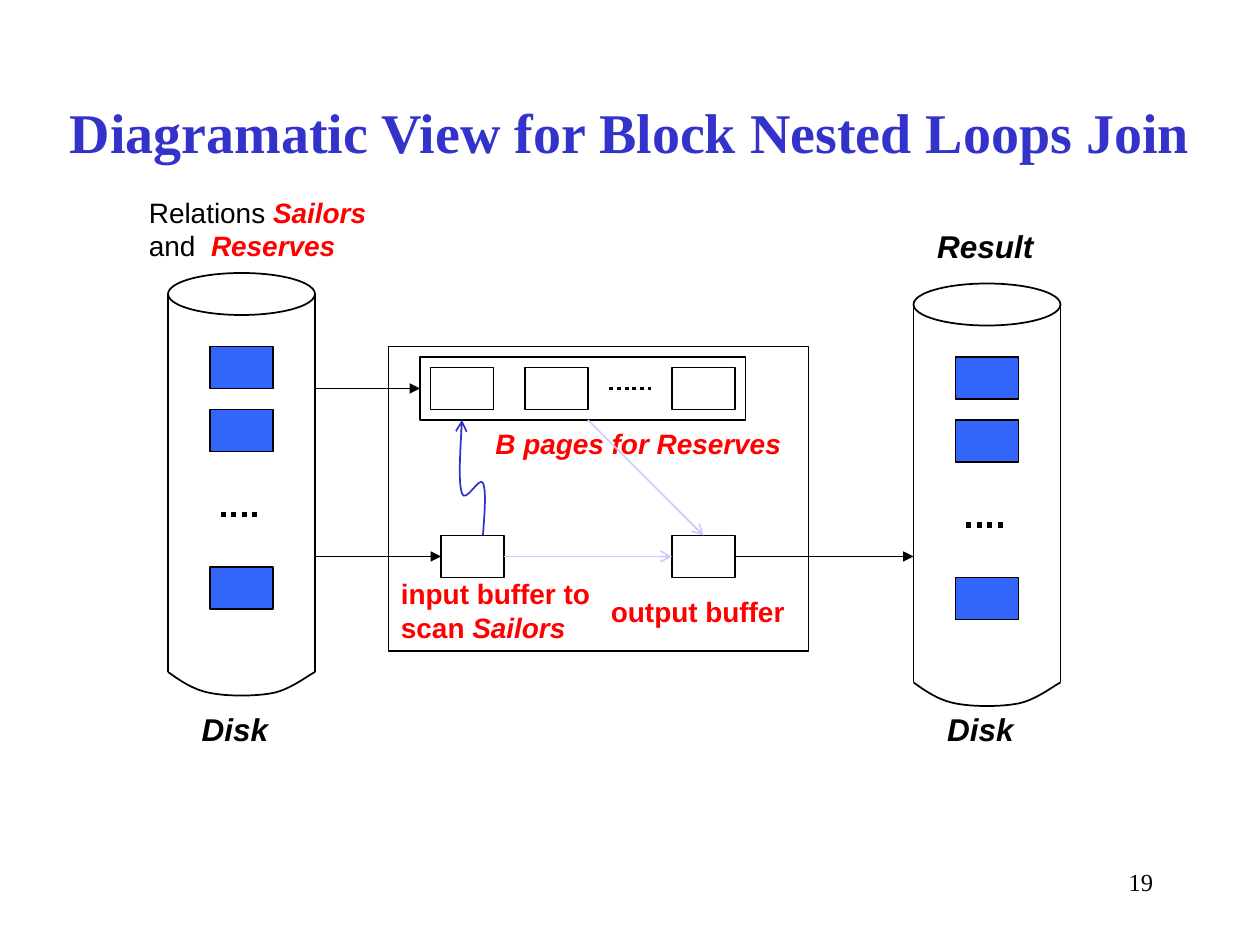
from pptx import Presentation
from pptx import util as u
from pptx.dml.color import RGBColor
from pptx.enum import dml, shapes, text
from pptx.oxml import parse_xml
from pptx.oxml.ns import nsdecls, qn

Pt = u.Pt
BLACK, RED, NAVY, BLUE, LILAC = "000000", "FF0000", "3333CC", "3365FB", "CCCCFF"
LEFT, CENTER, RIGHT = text.PP_ALIGN.LEFT, text.PP_ALIGN.CENTER, text.PP_ALIGN.RIGHT
PAGE = (36, 24)


def paint(target, color):
    target.rgb = RGBColor.from_string(color)


def outline(line, color=BLACK, width=1, dotted=False, head=None):
    paint(line.color, color)
    line.width = Pt(width)
    if dotted:
        line.dash_style = dml.MSO_LINE.ROUND_DOT
    if head:
        ln = line._get_or_add_ln()
        ln.append(parse_xml(f'<a:tailEnd {nsdecls("a")} type="{head}"/>'))


def add_line(parent, x1, y1, x2, y2, **style):
    c = parent.add_connector(
        shapes.MSO_CONNECTOR.STRAIGHT, Pt(x1), Pt(y1), Pt(x2), Pt(y2))
    outline(c.line, **style)
    c._element.spPr.append(parse_xml(f'<a:effectLst {nsdecls("a")}/>'))


def add_box(parent, x, y, w, h, fill=None, kind=shapes.MSO_SHAPE.RECTANGLE):
    sp = parent.add_shape(kind, Pt(x), Pt(y), Pt(w), Pt(h))
    sp.shadow.inherit = False
    if fill:
        sp.fill.solid()
        paint(sp.fill.fore_color, fill)
    else:
        sp.fill.background()
    outline(sp.line)


def add_curve(parent, points, **style):
    pts = [(Pt(x), Pt(y)) for x, y in points]
    builder = parent.build_freeform(*pts[0])
    builder.add_line_segments(pts[1:], close=False)
    sp = builder.convert_to_shape()
    sp.shadow.inherit = False
    sp.fill.background()
    outline(sp.line, **style)
    path = next(sp._element.iter(qn("a:path")))
    steps = path.findall(qn("a:lnTo"))
    for i in range(0, len(steps), 3):
        bezier = parse_xml(f'<a:cubicBezTo {nsdecls("a")}/>')
        path.append(bezier)
        for step in steps[i:i + 3]:
            bezier.append(step[0])
            path.remove(step)


def set_font(font, size, color, bold, italic, name):
    font.name = name
    font.size = Pt(size)
    font.bold = bold
    font.italic = italic
    paint(font.color, color)


def add_text(parent, x, y, w, h, paragraphs, size=16, color=RED, bold=True,
             italic=False, align=LEFT, wrap=False, name="Arial"):
    tf = parent.add_textbox(Pt(x), Pt(y), Pt(w), Pt(h)).text_frame
    tf.word_wrap = wrap
    for i, runs in enumerate(paragraphs):
        p = tf.add_paragraph() if i else tf.paragraphs[0]
        p.alignment = align
        set_font(p.font, size, color, bold, italic, name)
        for content, accent in runs:
            r = p.add_run()
            r.text = content
            if accent:
                r.font.bold = r.font.italic = True
                paint(r.font.color, RED)


def add_title(slide, content):
    title = slide.shapes.title
    title.left, title.top, title.width, title.height = Pt(18), Pt(54), Pt(684), Pt(42)
    tf = title.text_frame
    tf.text = content
    tf.auto_size = text.MSO_AUTO_SIZE.NONE
    tf.vertical_anchor = text.MSO_ANCHOR.MIDDLE
    p = tf.paragraphs[0]
    p.alignment = CENTER
    set_font(p.font, 32, NAVY, True, False, "Times New Roman")


def add_disk(parent, x, y):
    disk = parent.add_group_shape().shapes
    for side in (x, x + 84):
        add_line(disk, side, y + 12, side, y + 228)
    add_box(disk, x, y, 84, 24, kind=shapes.MSO_SHAPE.OVAL)
    rim = [(0, 0), (7, 5), (14, 10), (24, 12), (34, 14),
           (50, 14), (60, 12), (70, 10), (80, 2), (84, 0)]
    add_curve(disk, [(x + dx, y + 228 + dy) for dx, dy in rim])
    for dy in (42, 78, 168):
        add_box(disk, x + 24, y + dy, *PAGE, fill=BLUE)
    add_line(disk, x + 30, y + 138, x + 54, y + 138, width=3, dotted=True)


def add_caption(parent, x, y, w, content):
    add_text(parent, x, y, w, 29, [[(content, False)]], size=18, color=BLACK,
             italic=True, align=CENTER)


def add_buffers(parent):
    for x, y in ((246, 210), (300, 210), (384, 210), (252, 306), (384, 306)):
        add_box(parent, x, y, *PAGE)
    add_box(parent, 222, 198, 240, 174)
    add_box(parent, 240, 204, 186, 36)
    add_line(parent, 348, 222, 372, 222, width=2.25, dotted=True)


def add_flows(parent):
    for x1, y, x2 in ((180, 222, 240), (180, 318, 252), (420, 318, 522)):
        add_line(parent, x1, y, x2, y, head="triangle")
    add_curve(parent, [(276, 306), (277, 293), (278, 280), (276, 276), (274, 272),
                       (266, 288), (264, 282), (262, 276), (263, 258), (264, 240)],
              color=NAVY, head="arrow")


def add_labels(parent):
    add_text(parent, 222, 326, 123, 46, [
        [("input buffer to", False)], [("scan ", False), ("Sailors", True)]])
    add_text(parent, 342, 336, 114.5, 27, [[("output buffer", False)]])
    add_text(parent, 276, 240, 198, 27, [[("B pages for Reserves", False)]],
             italic=True, wrap=True)
    add_text(parent, 78, 108, 143, 46, [
        [("Relations ", False), ("Sailors ", True)],
        [("and ", False), (" Reserves", True)]], color=BLACK, bold=False)
    add_caption(parent, 108, 402, 52.5, "Disk")
    add_caption(parent, 534, 402, 52.5, "Disk")
    add_caption(parent, 528, 126, 70, "Result")
    add_text(parent, 516, 492, 150, 36, [[("19", False)]], size=14, color=BLACK,
             bold=False, align=RIGHT, wrap=True, name="Times New Roman")


def main():
    prs = Presentation()
    prs.slide_width, prs.slide_height = Pt(720), Pt(540)
    s = prs.slides.add_slide(prs.slide_layouts[5])
    add_title(s, "Diagramatic View for Block Nested Loops Join")
    add_disk(s.shapes, 96, 156)
    add_disk(s.shapes, 522, 162)
    add_buffers(s.shapes)
    add_flows(s.shapes)
    add_labels(s.shapes)
    add_line(s.shapes, 288, 318, 384, 318, color=LILAC, head="arrow")
    add_line(s.shapes, 336, 240, 402, 306, color=LILAC, head="arrow")
    prs.save("out.pptx")


main()
